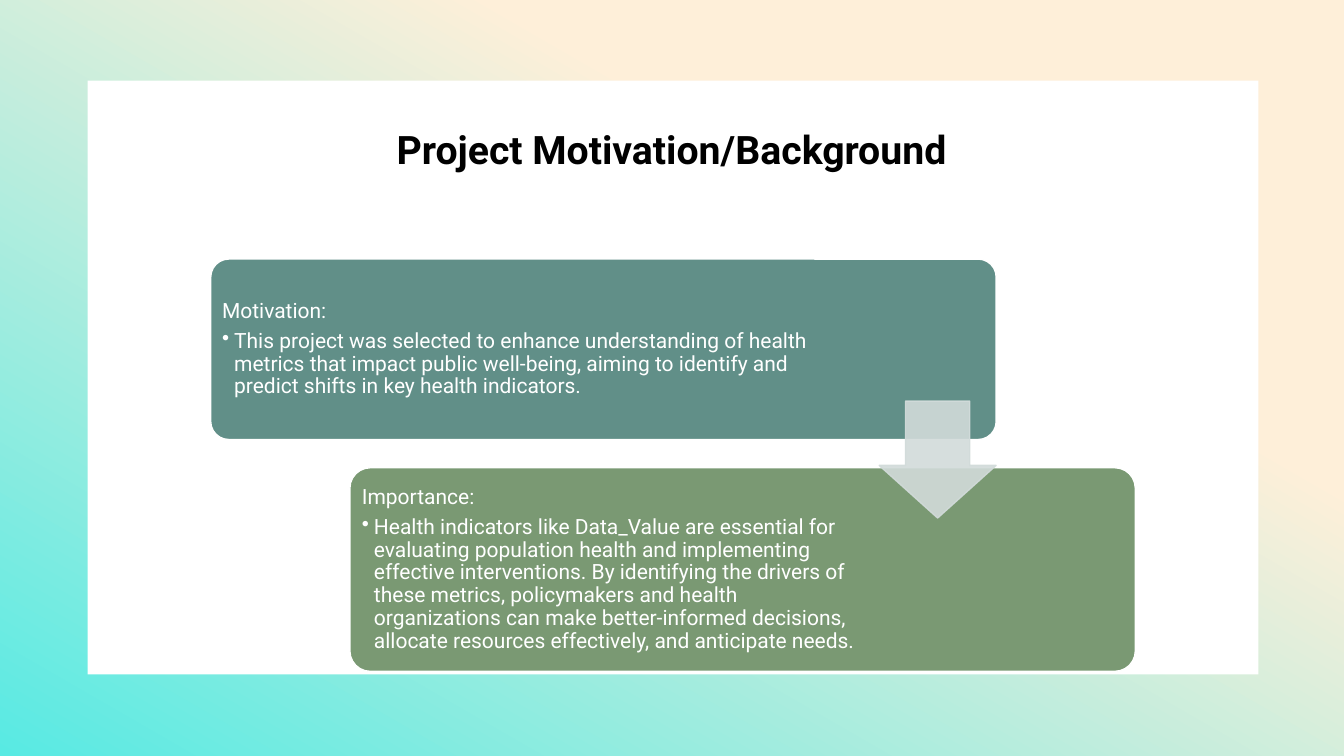
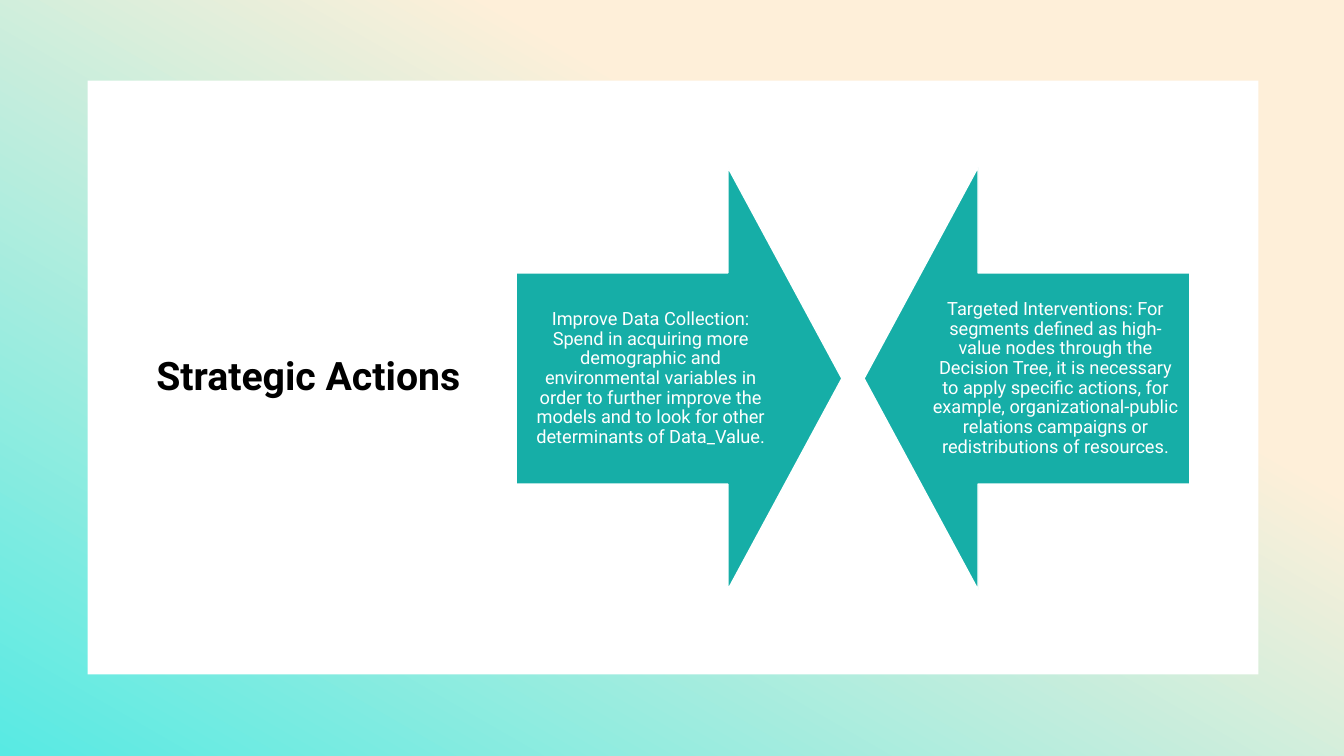
from dataclasses import dataclass
from typing import Any

from lxml.etree import SubElement
from pptx import Presentation
from pptx.dml.color import RGBColor
from pptx.enum.shapes import MSO_SHAPE as Shape
from pptx.enum.text import MSO_ANCHOR as Anchor, MSO_AUTO_SIZE as AutoSize, PP_ALIGN as Align
from pptx.oxml.ns import qn
from pptx.util import Inches, Pt

FONT = "Roboto"
WHITE, BLACK = "FFFFFF", "000000"
PEACH, AQUA = "FEEFD9", "58EAE3"
TEAL, SAGE, MIST, TURQUOISE = "618F88", "7A9973", "D2DBDA", "16AEA7"
PANEL = (0.87, 0.8, 11.61, 5.89)
LINE_SPACING = 0.9

Box = tuple[float, float, float, float]


@dataclass(frozen=True)
class Card:
    box: Box
    color: str
    right_inset: float
    heading: str
    bullet: str


@dataclass(frozen=True)
class Action:
    kind: Shape
    left: float
    text: str


CARDS = [
    Card((2.09, 2.57, 7.79, 1.79), TEAL, 1.8, "Motivation:",
         "This project was selected to enhance understanding of health metrics that impact "
         "public well-being, aiming to identify and predict shifts in key health indicators."),
    Card((3.47, 4.64, 7.79, 2.02), SAGE, 2.6, "Importance:",
         "Health indicators like Data_Value are essential for evaluating population health and "
         "implementing effective interventions. By identifying the drivers of these metrics, "
         "policymakers and health organizations can make better-informed decisions, allocate "
         "resources effectively, and anticipate needs."),
]
ACTIONS = [
    Action(Shape.RIGHT_ARROW, 5.12,
           "Improve Data Collection: Spend in acquiring more demographic and environmental "
           "variables in order to further improve the models and to look for other "
           "determinants of Data_Value."),
    Action(Shape.LEFT_ARROW, 8.57,
           "Targeted Interventions: For segments defined as high-value nodes through the "
           "Decision Tree, it is necessary to apply specific actions, for example, "
           "organizational-public relations campaigns or redistributions of resources."),
]


def rgb(color: str) -> RGBColor:
    return RGBColor.from_string(color)


def apply(target: Any, **values: Any) -> None:
    """Set each named attribute on the target."""
    for name, value in values.items():
        setattr(target, name, value)


def place(sp: Any, box: Box) -> None:
    names = ("left", "top", "width", "height")
    apply(sp, **{name: Inches(v) for name, v in zip(names, box)})


def set_frame(tf: Any, anchor: Anchor, left: float, top: float, right: float, bottom: float) -> None:
    apply(tf, word_wrap=True, auto_size=AutoSize.NONE, vertical_anchor=anchor,
          margin_left=Inches(left), margin_top=Inches(top),
          margin_right=Inches(right), margin_bottom=Inches(bottom))


def write(p: Any, text: str, size: float, color: str, align: Align = Align.LEFT,
          after: float = 0, bold: bool = False) -> None:
    apply(p, alignment=align, line_spacing=LINE_SPACING,
          space_before=Pt(0), space_after=Pt(after))
    r = p.add_run()
    r.text = text
    apply(r.font, name=FONT, size=Pt(size), bold=bold)
    r.font.color.rgb = rgb(color)


def add_bullet(p: Any, indent: float) -> None:
    pPr = p._p.get_or_add_pPr()
    pPr.set("marL", str(Inches(indent)))
    pPr.set("indent", str(-Inches(indent)))
    SubElement(pPr, qn("a:buChar")).set("char", "•")


def add_shape(s: Any, kind: Shape, box: Box, color: str, line: str | None = None,
              adjust: tuple[float, ...] = ()) -> Any:
    sp = s.shapes.add_shape(kind, *map(Inches, box))
    sp.shadow.inherit = False
    sp.fill.solid()
    sp.fill.fore_color.rgb = rgb(color)
    if line:
        sp.line.color.rgb = rgb(line)
        sp.line.width = Pt(1)
    else:
        sp.line.fill.background()
    for i, value in enumerate(adjust):
        sp.adjustments[i] = value
    return sp


def set_opacity(sp: Any, percent: int) -> None:
    """Apply one opacity to the fill and the outline."""
    for clr in sp._element.spPr.iter(qn("a:srgbClr")):
        SubElement(clr, qn("a:alpha")).set("val", str(percent * 1000))


def set_background(prs: Any) -> None:
    fill = prs.slide_master.background.fill
    fill.gradient()
    fill.gradient_angle = 240
    for stop, color, position in zip(fill.gradient_stops, (PEACH, AQUA), (0.32, 1.0)):
        stop.color.rgb = rgb(color)
        stop.position = position


def add_slide(prs: Any, title: str, box: Box, anchor: Anchor, align: Align) -> Any:
    """Add a slide with the white panel behind its title."""
    s = prs.slides.add_slide(prs.slide_layouts[5])
    panel = add_shape(s, Shape.RECTANGLE, PANEL, WHITE)
    sp = s.shapes.title
    sp._element.addprevious(panel._element)
    place(sp, box)
    set_frame(sp.text_frame, anchor, 0.1, 0.05, 0.1, 0.05)
    write(sp.text_frame.paragraphs[0], title, 28, BLACK, align, bold=True)
    return s


def add_card(s: Any, card: Card) -> None:
    sp = add_shape(s, Shape.ROUNDED_RECTANGLE, card.box, card.color, WHITE, (0.1,))
    tf = sp.text_frame
    set_frame(tf, Anchor.MIDDLE, 0.06, 0.06, card.right_inset, 0.06)
    write(tf.paragraphs[0], card.heading, 15, WHITE, after=5.25)
    p = tf.add_paragraph()
    add_bullet(p, 0.12)
    write(p, card.bullet, 15, WHITE, after=2.25)


def add_action(s: Any, action: Action) -> None:
    box = (action.left, 1.66, 3.23, 4.19)
    sp = add_shape(s, action.kind, box, TURQUOISE, WHITE, (0.5, 0.35))
    set_frame(sp.text_frame, Anchor.MIDDLE, 0.1, 0.1, 0.1, 0.1)
    write(sp.text_frame.paragraphs[0], action.text, 13, WHITE, Align.CENTER)


def main() -> None:
    prs = Presentation()
    apply(prs, slide_width=Inches(13.33), slide_height=Inches(7.5))
    set_background(prs)

    s = add_slide(prs, "Project Motivation/Background", (2.33, 1.25, 8.66, 0.63),
                  Anchor.TOP, Align.CENTER)
    for card in CARDS:
        add_card(s, card)
    arrow = add_shape(s, Shape.DOWN_ARROW, (8.72, 3.98, 1.16, 1.16), MIST, MIST, (0.55, 0.45))
    set_opacity(arrow, 90)

    s = add_slide(prs, "Strategic Actions", (1.45, 2.25, 3.3, 2.99), Anchor.MIDDLE, Align.LEFT)
    for action in ACTIONS:
        add_action(s, action)

    prs.save("out.pptx")


if __name__ == "__main__":
    main()
